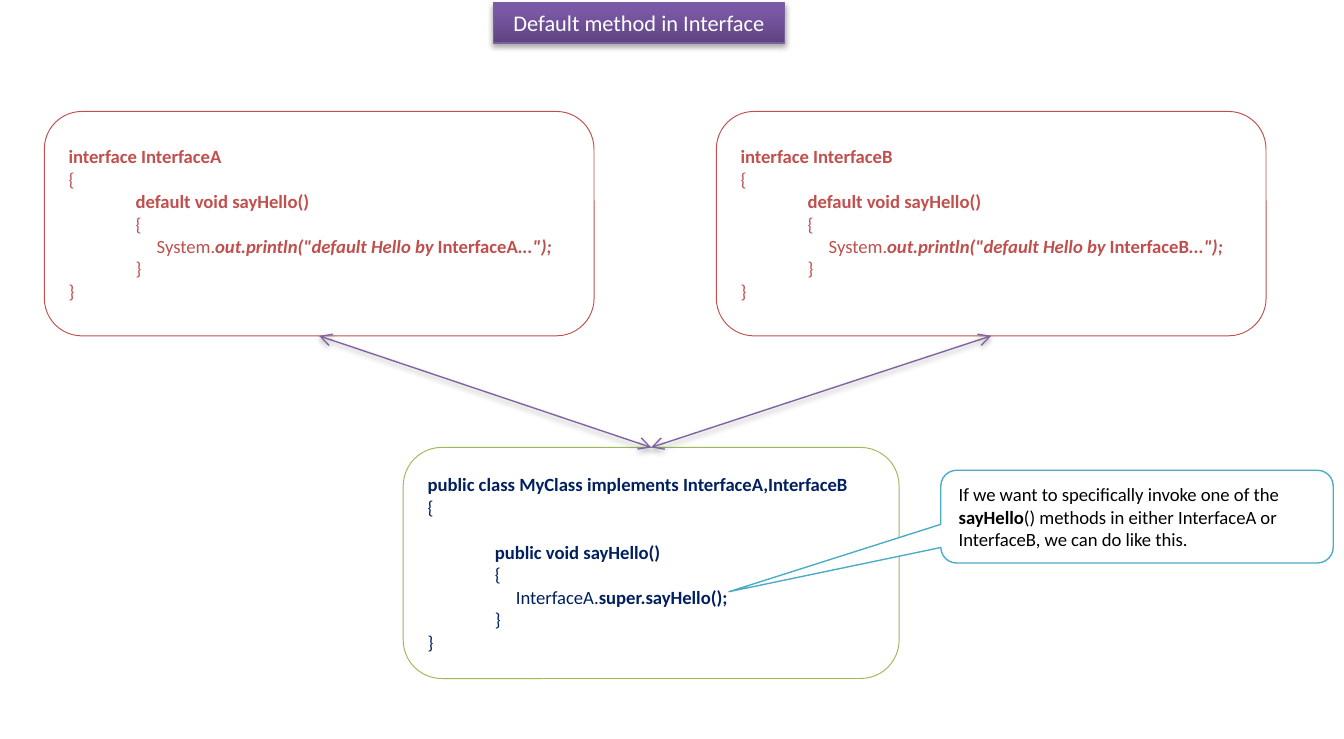
from typing import NamedTuple

from lxml.etree import SubElement
from pptx import Presentation
from pptx.dml.color import RGBColor
from pptx.enum.shapes import MSO_CONNECTOR, MSO_SHAPE as Preset
from pptx.enum.text import MSO_ANCHOR as Anchor, MSO_AUTO_SIZE as AutoSize, PP_ALIGN as Align
from pptx.oxml import parse_xml
from pptx.oxml.ns import nsdecls, qn
from pptx.util import Inches, Pt

WHITE = RGBColor(0xFF, 0xFF, 0xFF)
BLACK = RGBColor(0x00, 0x00, 0x00)
RED = RGBColor(0xC0, 0x50, 0x4D)
GREEN = RGBColor(0x9B, 0xBB, 0x59)
NAVY = RGBColor(0x00, 0x20, 0x60)
TEAL = RGBColor(0x4B, 0xAC, 0xC6)
PURPLE = RGBColor(0x80, 0x64, 0xA2)
TITLE_LINE = RGBColor(0x7D, 0x60, 0xA0)
TITLE_STOPS = (
    (0, RGBColor(0x5F, 0x44, 0x80)),
    (80, RGBColor(0x7B, 0x58, 0xA6)),
    (100, RGBColor(0x7C, 0x57, 0xA8)),
)
FONT = "Calibri"


class Span(NamedTuple):
    text: str
    bold: bool = False
    italic: bool = False


class Line(NamedTuple):
    spans: tuple[Span, ...]
    level: int = 0
    space_before: float = 0


class Box(NamedTuple):
    left: float
    top: float
    width: float
    height: float
    outline: RGBColor
    text_color: RGBColor
    lines: tuple[Line, ...]
    preset: Preset = Preset.ROUNDED_RECTANGLE
    line_width: float = 0.5
    font_size: float = 10
    align: Align = Align.LEFT


def code_block(header: str, body: tuple[Span, ...], method: str, gap: float = 0) -> tuple[Line, ...]:
    return (
        Line((Span(header, True),)),
        Line((Span("{"),)),
        Line((Span(method, True),), 1, gap),
        Line((Span("{"),), 1),
        Line(body, 1),
        Line((Span("}"),), 1),
        Line((Span("}"),)),
    )


def interface_code(name: str) -> tuple[Line, ...]:
    body = (
        Span("     System."),
        Span('out.println("default Hello by ', True, True),
        Span(name, True),
        Span('...");', True, True),
    )
    return code_block(f"interface {name}", body, "default void sayHello()")


def draw_box(slide, box: Box):
    shape = slide.shapes.add_shape(
        box.preset, Inches(box.left), Inches(box.top), Inches(box.width), Inches(box.height)
    )
    shape.shadow.inherit = False
    shape.fill.solid()
    shape.fill.fore_color.rgb = WHITE
    shape.line.color.rgb = box.outline
    shape.line.width = Pt(box.line_width)
    text_frame = shape.text_frame
    text_frame.word_wrap = True
    text_frame.vertical_anchor = Anchor.MIDDLE
    for index, line in enumerate(box.lines):
        paragraph = text_frame.add_paragraph() if index else text_frame.paragraphs[0]
        paragraph.alignment = box.align
        if line.level:
            paragraph.level = line.level
            paragraph._p.get_or_add_pPr().set("marL", str(Inches(0.5 * line.level)))
        if line.space_before:
            paragraph.space_before = Pt(line.space_before)
        for span in line.spans:
            run = paragraph.add_run()
            run.text = span.text
            run.font.name = FONT
            run.font.size = Pt(box.font_size)
            run.font.bold = span.bold
            run.font.italic = span.italic
            run.font.color.rgb = box.text_color
    return shape


def set_shadow(shape, distance: float, opacity: int) -> None:
    properties = shape._element.spPr
    for effects in properties.findall(qn("a:effectLst")):
        properties.remove(effects)
    properties.append(parse_xml(
        f'<a:effectLst {nsdecls("a")}><a:outerShdw blurRad="{Pt(3.1)}" dist="{Pt(distance)}" '
        f'dir="5400000" rotWithShape="0"><a:srgbClr val="000000">'
        f'<a:alpha val="{opacity * 1000}"/></a:srgbClr></a:outerShdw></a:effectLst>'
    ))


def set_gradient(shape, stops: tuple[tuple[int, RGBColor], ...]) -> None:
    stop_xml = "".join(
        f'<a:gs pos="{position * 1000}"><a:srgbClr val="{color}"/></a:gs>' for position, color in stops
    )
    properties = shape._element.spPr
    properties.replace(properties.find(qn("a:solidFill")), parse_xml(
        f'<a:gradFill {nsdecls("a")} rotWithShape="1"><a:gsLst>{stop_xml}</a:gsLst>'
        f'<a:lin ang="16200000" scaled="0"/></a:gradFill>'
    ))


def draw_arrow(slide, start, end) -> None:
    connector = slide.shapes.add_connector(MSO_CONNECTOR.STRAIGHT, 0, 0, 0, 0)
    connector.begin_connect(start, 2)
    connector.end_connect(end, 0)
    connector.line.color.rgb = PURPLE
    connector.line.width = Pt(0.75)
    outline = connector.line._get_or_add_ln()
    for tag in ("a:headEnd", "a:tailEnd"):
        SubElement(outline, qn(tag), type="arrow")
    set_shadow(connector, 1.6, 38)


TITLE = Box(3.67, 0.02, 2.17, 0.3, TITLE_LINE, WHITE,
            (Line((Span("Default method in Interface"),)),),
            Preset.RECTANGLE, 0.75, 12, Align.CENTER)
INTERFACES = tuple(
    Box(left, 0.83, 4.09, 1.67, RED, RED, interface_code(name))
    for left, name in ((0.33, "InterfaceA"), (5.33, "InterfaceB"))
)
MY_CLASS = Box(3, 3.33, 3.69, 1.72, GREEN, NAVY, code_block(
    "public class MyClass implements InterfaceA,InterfaceB",
    (Span("     InterfaceA."), Span("super.sayHello();", True)),
    "public void sayHello()", 12.2))
CALLOUT = Box(7, 3.5, 2.92, 0.69, TEAL, BLACK, (Line((
    Span("If we want to specifically invoke one of the  "),
    Span("sayHello", True),
    Span("() methods in either InterfaceA or InterfaceB, we can do like this."),
)),), Preset.ROUNDED_RECTANGULAR_CALLOUT, 0.75)


def main() -> None:
    presentation = Presentation()
    presentation.slide_width = Inches(10)
    presentation.slide_height = Inches(5.5)
    slide = presentation.slides.add_slide(presentation.slide_layouts[6])

    title = draw_box(slide, TITLE)
    title.text_frame.auto_size = AutoSize.SHAPE_TO_FIT_TEXT
    set_gradient(title, TITLE_STOPS)
    set_shadow(title, 1.8, 35)

    interfaces = [draw_box(slide, box) for box in INTERFACES]
    my_class = draw_box(slide, MY_CLASS)
    for interface in interfaces:
        draw_arrow(slide, interface, my_class)

    callout = draw_box(slide, CALLOUT)
    for index, value in enumerate((-1.04, 0.81, 0.17)):
        callout.adjustments[index] = value

    presentation.save("out.pptx")


if __name__ == "__main__":
    main()
